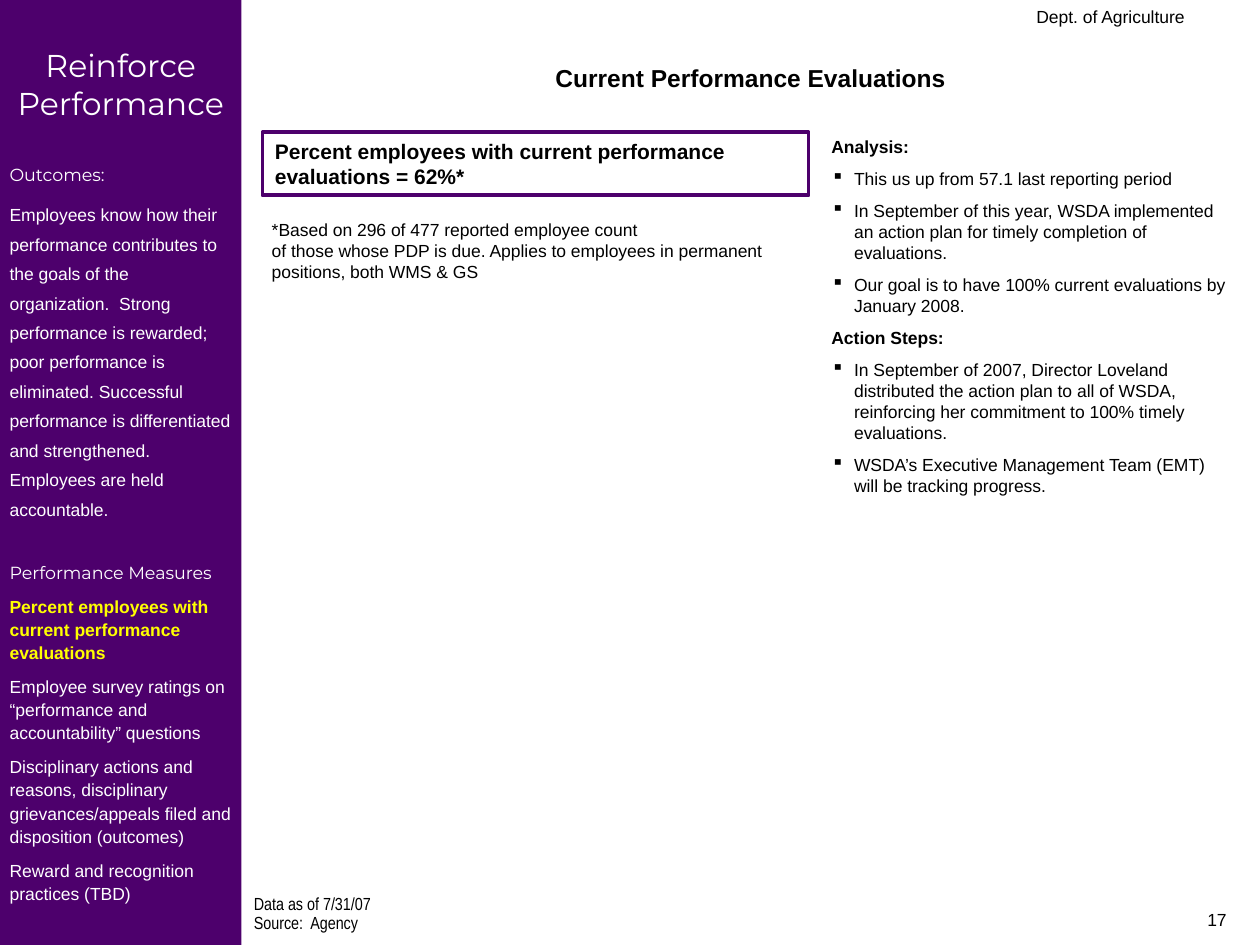
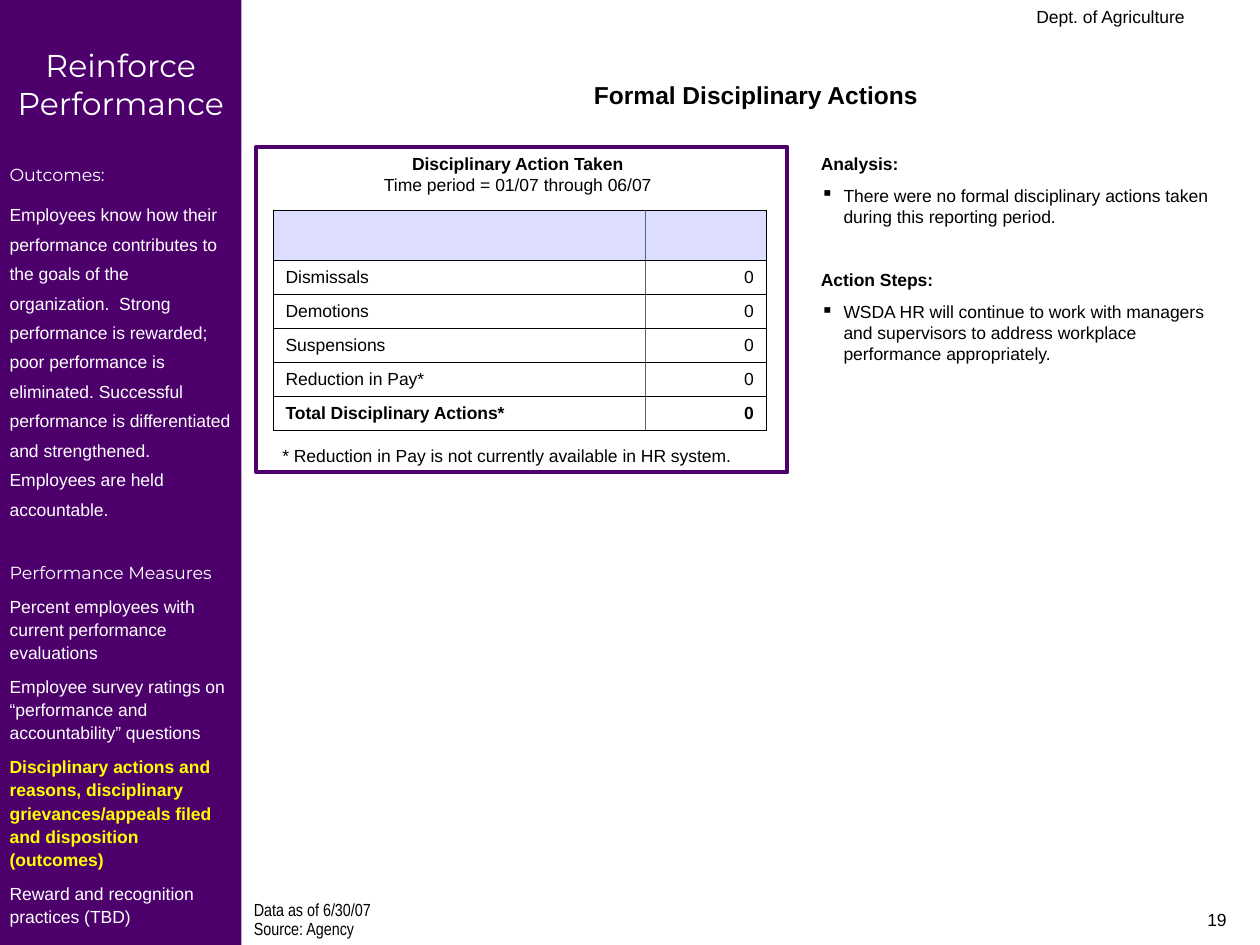
from copy import deepcopy
from dataclasses import dataclass
from lxml.etree import SubElement
from pptx import Presentation
from pptx.dml.color import RGBColor as Rgb
from pptx.enum.shapes import MSO_SHAPE as Kind
from pptx.enum.text import MSO_ANCHOR as Anchor, PP_ALIGN as Align
from pptx.oxml.ns import qn
from pptx.util import Inches, Pt


@dataclass(frozen=True)
class Theme:
    purple: str = "4D006C"
    white: str = "FFFFFF"
    black: str = "000000"
    yellow: str = "FFFF00"
    lilac: str = "DDDDFF"
    slate: str = "4D6776"
    sans: str = "Arial"
    narrow: str = "Arial Narrow"
    display: str = "Montserrat"
    body: float = 10
    callout: float = 12
    title: float = 14
    banner: float = 18
    gap: float = 6.2
    wide: float = 24.2
    frame: float = 2.25
    rule: float = 0.45


theme = Theme()
deck = Presentation()
deck.slide_width, deck.slide_height = Inches(10), Inches(7.5)
unit = deck.slide_width / 120  # grid of 120 columns by 90 rows
band = 23  # columns taken by the sidebar


def write(frame, paras):
    """Fill a text frame with (text, format) pairs."""
    for i, (text, form) in enumerate(paras):
        para = frame.paragraphs[0] if i == 0 else frame.add_paragraph()
        props = para._p.get_or_add_pPr()
        if "mark" in form:
            props.set("marL", str(Inches(0.18)))
            props.set("indent", str(-Inches(0.18)))
            SubElement(props, qn("a:buChar"), char=form["mark"])
        para.text = text
        para.alignment = form.get("align", Align.LEFT)
        para.line_spacing = form.get("lead", 1.0)
        para.space_before = Pt(form.get("above", 0) if i else 0)
        look = {"name": form.get("face", theme.sans),
                "size": Pt(form.get("size", theme.body)),
                "bold": form.get("bold", False)}
        for run in para.runs:
            for key, value in look.items():
                setattr(run.font, key, value)
            run.font.color.rgb = Rgb.from_string(form.get("ink", theme.black))
        for stop in para._p.findall(qn("a:br")):
            stop.insert(0, deepcopy(para.runs[0]._r.rPr))


def place(slide, area, paras=(), fill=None, line=None, pad=(1.2, 0.6)):
    """Add a text box, or a rectangle if it has a fill or line."""
    spot = [round(n * unit) for n in area]
    if fill or line:
        box = slide.shapes.add_shape(Kind.RECTANGLE, *spot)
        box.shadow.inherit = False
        if fill:
            box.fill.solid()
            box.fill.fore_color.rgb = Rgb.from_string(fill)
        else:
            box.fill.background()
        if line:
            box.line.color.rgb = Rgb.from_string(line)
            box.line.width = Pt(theme.frame)
        else:
            box.line.fill.background()
    else:
        box = slide.shapes.add_textbox(*spot)
    frame = box.text_frame
    frame.word_wrap = True
    frame.vertical_anchor = Anchor.TOP
    frame.margin_left = frame.margin_right = round(pad[0] * unit)
    frame.margin_top = frame.margin_bottom = round(pad[1] * unit)
    write(frame, paras)


# Shared formats
bold = {"bold": True}
mid = {"align": Align.CENTER}
right = {"align": Align.RIGHT}
head = {"bold": True, "above": theme.gap}
item = {"mark": "▪", "above": theme.gap}
title = {**mid, **bold, "size": theme.title}
label = {"face": theme.display, "ink": theme.white, "above": theme.wide}
note = {"face": theme.narrow, "lead": 0.7, "above": 2.5}

# Shared wording
outcome = ("Employees know how their performance contributes to the goals of the "
           "organization.  Strong performance is rewarded; poor performance is "
           "eliminated. Successful performance is differentiated and strengthened. "
           "Employees are held accountable.")
goals = ["Percent employees with current performance evaluations",
         "Employee survey ratings on “performance and accountability” questions",
         "Disciplinary actions and reasons, disciplinary grievances/appeals filed "
         "and disposition (outcomes)",
         "Reward and recognition practices (TBD)"]

# What differs from slide to slide
pages = [
    {"title": "Current Performance Evaluations", "head": (24, 5.4, 95, 4.1),
     "goal": 0, "num": "17", "foot": 85,
     "source": ["Data as of 7/31/07", "Source:  Agency"],
     "side": (78, 12.4, 40, 35.5),
     "notes": [
         ("Analysis:", head),
         ("This us up from 57.1 last reporting period", item),
         ("In September of this year, WSDA implemented an action plan for timely "
          "completion of evaluations.", item),
         ("Our goal is to have 100% current evaluations by January 2008.", item),
         ("Action Steps:", head),
         ("In September of 2007, Director Loveland distributed the action plan to "
          "all of WSDA, reinforcing her commitment to 100% timely evaluations.", item),
         ("WSDA’s Executive Management Team (EMT) will be tracking progress.", item)]},
    {"title": "Formal Disciplinary Actions", "head": (24, 7, 96, 4.1),
     "goal": 2, "num": "19", "foot": 85.6,
     "source": ["Data as of 6/30/07", "Source: Agency"],
     "side": (77, 14, 41.3, 33.6),
     "notes": [
         ("Analysis:", head),
         ("There were no formal disciplinary actions taken during this reporting "
          "period.", item),
         ("Action Steps:", {**head, "above": theme.wide}),
         ("WSDA HR will continue to work with managers and supervisors to address "
          "workplace performance appropriately.", item)]},
]

# Sidebar, title, notes and footers of each slide
for page in pages:
    slide = deck.slides.add_slide(deck.slide_layouts[6])
    page["slide"] = slide
    side = [("Reinforce Performance", {**label, **mid, "size": theme.banner}),
            ("Outcomes:", label),
            (outcome, {"ink": theme.white, "lead": 1.4, "above": theme.gap}),
            ("Performance Measures", label)]
    for i, goal in enumerate(goals):
        now = i == page["goal"]
        side.append((goal, {"ink": theme.yellow if now else theme.white,
                            "bold": now, "lead": 1.1, "above": theme.gap}))
    place(slide, (0, 0, band, 90), side, fill=theme.purple, pad=(0.92, 4.4))
    place(slide, page["head"], [(page["title"], title)])
    place(slide, page["side"], page["notes"])
    place(slide, (band, page["foot"], 58, 4.4), [(t, note) for t in page["source"]])
    place(slide, (54, 0, 60, 3), [("Dept. of Agriculture", right)])
    place(slide, (90, 86, 28, 4), [(page["num"], right)])

first, second = [page["slide"] for page in pages]

# Evaluation rate
place(first, (25, 12.6, 52, 6),
      [("Percent employees with current performance evaluations = 62%*",
        {**bold, "size": theme.callout})], line=theme.purple)
place(first, (24.7, 20.3, 49.8, 7.2),
      [("*Based on 296 of 477 reported employee count\vof those whose PDP is due. "
        "Applies to employees in permanent positions, both WMS & GS", {})])

# Disciplinary panel
place(second, (24.4, 14, 50.6, 31), line=theme.purple)
place(second, (24, 14, 50.6, 5.3),
      [("Disciplinary Action Taken", {**mid, **bold}),
       ("Time period = 01/07 through 06/07", mid)])
place(second, (25.7, 41.8, 52, 3.2),
      [("* Reduction in Pay is not currently available in HR system.", {})])

# Disciplinary table
rows = [("", ""), ("Dismissals", "0"), ("Demotions", "0"), ("Suspensions", "0"),
        ("Reduction in Pay*", "0"), ("Total Disciplinary Actions*", "0")]
wide, tall = (35.5, 11.5), [4.8] + [3.24] * 5
area = [round(n * unit) for n in (26, 20, sum(wide), sum(tall))]
grid = second.shapes.add_table(len(rows), len(wide), *area).table
for c, size in enumerate(wide):
    grid.columns[c].width = round(size * unit)
for r, row in enumerate(rows):
    grid.rows[r].height = round(tall[r] * unit)
    for c, text in enumerate(row):
        cell = grid.cell(r, c)
        cell.vertical_anchor = Anchor.MIDDLE
        cell.margin_top = cell.margin_bottom = Inches(0.05)
        write(cell.text_frame, [(text, {"bold": r == len(rows) - 1,
                                        "align": (Align.LEFT, Align.RIGHT)[c]})])
        props = cell._tc.get_or_add_tcPr()
        inner = "lnR" if c == 0 else "lnL"
        for edge in ("lnL", "lnR", "lnT", "lnB"):
            line = SubElement(props, qn("a:" + edge), w=str(Pt(theme.rule)))
            paint = SubElement(line, qn("a:solidFill"))
            SubElement(paint, qn("a:srgbClr"),
                       val=theme.slate if edge == inner else theme.black)
        cell.fill.solid()
        cell.fill.fore_color.rgb = Rgb.from_string(theme.white if r else theme.lilac)

deck.save("out.pptx")
